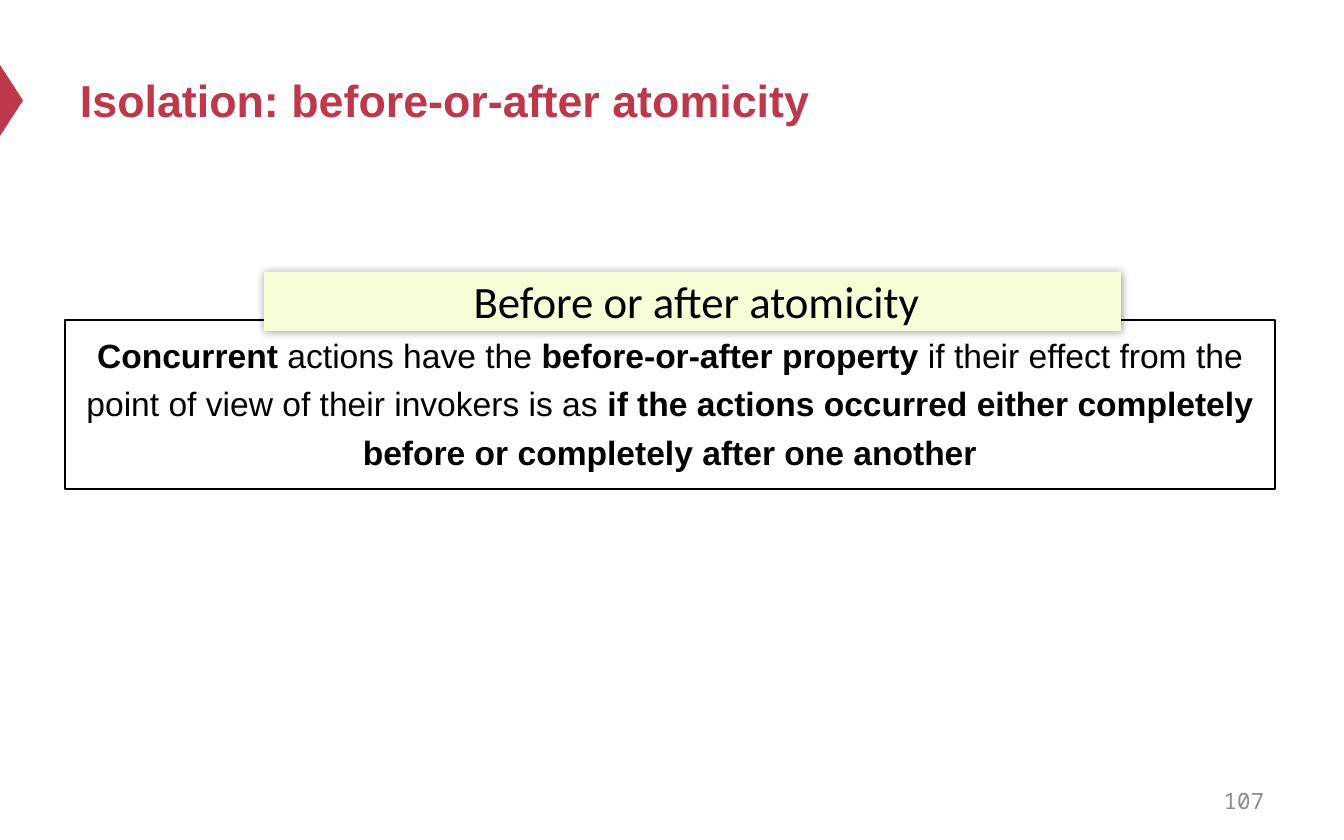
from lxml.etree import SubElement
from pptx import Presentation
from pptx.dml.color import RGBColor
from pptx.enum.shapes import MSO_SHAPE as Shape
from pptx.enum.text import MSO_ANCHOR as Anchor, PP_ALIGN as Align
from pptx.oxml.ns import qn
from pptx.util import Pt

PX = 914400 / 134.4
WIDTH, HEIGHT = 1344, 840
RED, BLACK, GREY, CREAM = "BE384B", "000000", "8C8C8C", "F5FED6"


def px(length):
    """Turn a length in px into EMU."""
    return round(length * PX)


def paint(color_format, color):
    """Set a hex colour on a colour format."""
    color_format.rgb = RGBColor.from_string(color)


def add_shape(slide, kind, box, fill=None, line=None):
    """Add a preset shape with an optional fill and outline."""
    shape = slide.shapes.add_shape(kind, *map(px, box))
    shape.shadow.inherit = False
    if fill:
        shape.fill.solid()
        paint(shape.fill.fore_color, fill)
    else:
        shape.fill.background()
    if line:
        paint(shape.line.color, line)
        shape.line.width = Pt(0.75)
    else:
        shape.line.fill.background()
    return shape


def write_text(shape, runs, size, font="Arial", color=BLACK, align=Align.LEFT,
               anchor=Anchor.TOP, spacing=1.0, insets=(13, 7, 13, 7)):
    """Write (text, bold) runs as one paragraph of a shape."""
    frame = shape.text_frame
    frame.word_wrap = True
    frame.vertical_anchor = anchor
    (frame.margin_left, frame.margin_top,
     frame.margin_right, frame.margin_bottom) = map(px, insets)
    paragraph = frame.paragraphs[0]
    paragraph.alignment = align
    paragraph.line_spacing = spacing
    for text, bold in runs:
        run = paragraph.add_run()
        run.text = text
        run.font.name, run.font.size, run.font.bold = font, Pt(size), bold
        paint(run.font.color, color)


def add_glow_shadow(shape, color, opacity, blur):
    """Give a shape a soft shadow on all sides."""
    effects = shape._element.spPr.find(qn("a:effectLst"))
    shadow = SubElement(effects, qn("a:outerShdw"), blurRad=str(Pt(blur)),
                        dist="0", dir="0", algn="ctr", rotWithShape="0")
    tint = SubElement(shadow, qn("a:srgbClr"), val=color)
    SubElement(tint, qn("a:alpha"), val=str(opacity * 1000))


def add_header(slide, box, title):
    """Place the title and the red marker at the slide's left edge."""
    left, top, width, height = box
    length, depth = 71, 23
    marker = add_shape(slide, Shape.ISOSCELES_TRIANGLE,
                       (left + (depth - length) / 2, top + 55, length, depth), fill=RED)
    marker.rotation = 90
    text_box = slide.shapes.add_textbox(*map(px, (left + 67, top, width - 134, height)))
    write_text(text_box, [(title, True)], 24, color=RED, anchor=Anchor.MIDDLE)


def add_definition(slide, box, term, runs):
    """Place an outlined definition under an overlapping label."""
    left, top, width, height = box
    body_top = 48
    body = add_shape(slide, Shape.RECTANGLE,
                     (left, top + body_top, width, height - body_top), line=BLACK)
    write_text(body, runs, 18, align=Align.CENTER, spacing=1.2)
    label = add_shape(slide, Shape.RECTANGLE, (left + 199, top, 857, 59), fill=CREAM)
    add_glow_shadow(label, BLACK, 40, 5)
    write_text(label, [(term, False)], 24, font="Calibri", align=Align.CENTER,
               insets=(19, 2, 11, 3))


def add_page_number(slide, box, number):
    """Place the page number."""
    text_box = slide.shapes.add_textbox(*map(px, box))
    write_text(text_box, [(number, False)], 12, font="Noto Sans Mono", color=GREY,
               align=Align.RIGHT, anchor=Anchor.MIDDLE)


def main():
    """Build and save the slide."""
    presentation = Presentation()
    presentation.slide_width, presentation.slide_height = px(WIDTH), px(HEIGHT)
    slide = presentation.slides.add_slide(presentation.slide_layouts[6])
    add_header(slide, (0, 34, WIDTH, 132), "Isolation: before-or-after atomicity")
    add_definition(slide, (65, 272, 1210, 217), "Before or after atomicity", [
        ("Concurrent ", True),
        ("actions have the ", False),
        ("before-or-after property ", True),
        ("if their effect from the point of view of their invokers is as ", False),
        ("if the actions occurred either completely before "
         "or completely after one another", True),
    ])
    add_page_number(slide, (964, 778, 313, 45), "107")
    presentation.save("out.pptx")


if __name__ == "__main__":
    main()
